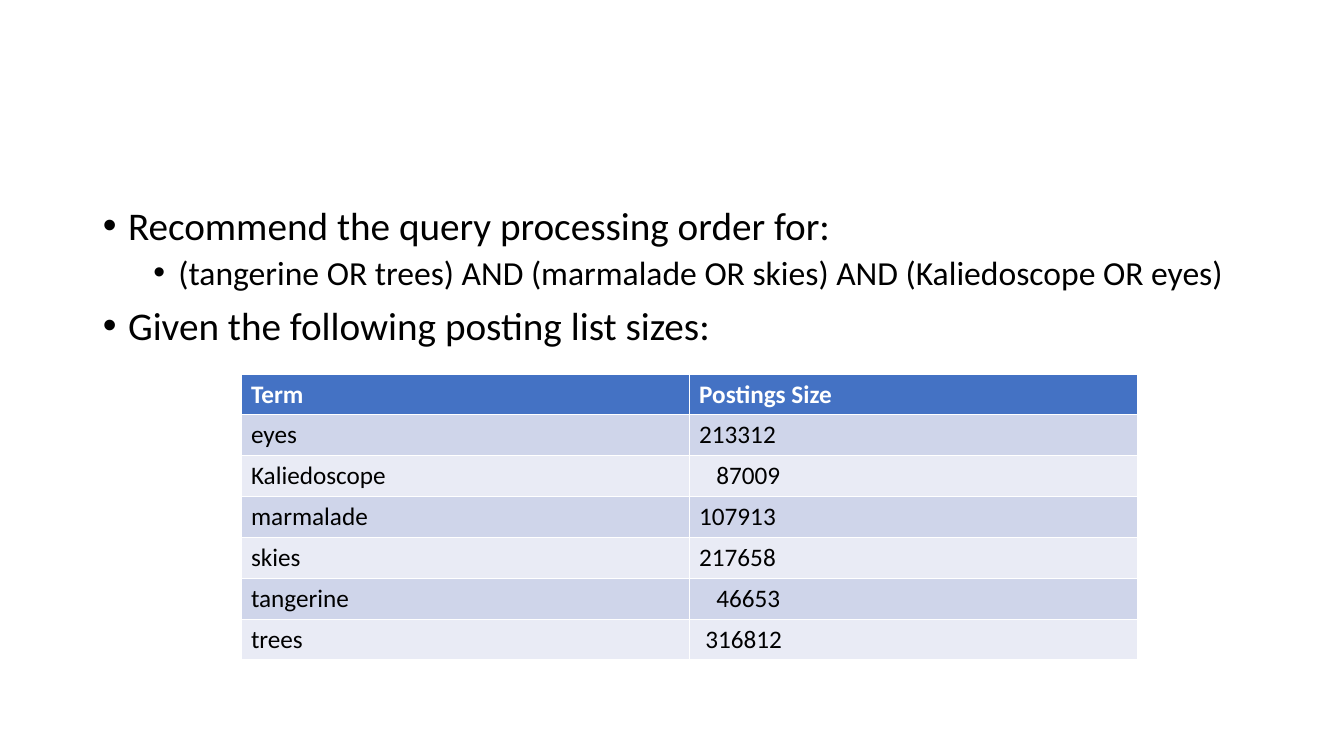
from lxml.etree import SubElement
from pptx import Presentation
from pptx.dml.color import RGBColor
from pptx.enum.text import MSO_ANCHOR
from pptx.oxml.ns import qn
from pptx.util import Inches, Pt

COLORS = {
    "text": "000000",
    "header": "4472C4",
    "header_text": "FFFFFF",
    "odd_row": "CFD5EA",
    "even_row": "E9EBF5",
}
FONT = "Calibri"

PROMPTS = [
    (0, "Recommend the query processing order for:"),
    (1, "(tangerine OR trees) AND (marmalade OR skies) AND (Kaliedoscope OR eyes)"),
    (0, "Given the following posting list sizes:"),
]
LEVELS = [
    {"size": 28, "margin": 0.25, "before": 10},
    {"size": 24, "margin": 0.75, "before": 5},
]

POSTINGS = [
    ("Term", "Postings Size", 0),
    ("eyes", "213312", 0),
    ("Kaliedoscope", "87009", 0.17),
    ("marmalade", "107913", 0),
    ("skies", "217658", 0),
    ("tangerine", "46653", 0.17),
    ("trees", "316812", 0.06),
]


def rgb(name):
    """Return the named colour."""
    return RGBColor.from_string(COLORS[name])


def write(paragraph, text, size, color, bold=False):
    """Put one formatted run into a paragraph."""
    run = paragraph.add_run()
    run.text = text
    for attribute, value in {"name": FONT, "size": Pt(size), "bold": bold}.items():
        setattr(run.font, attribute, value)
    run.font.color.rgb = rgb(color)


def set_bullet(paragraph, margin):
    """Give a paragraph a round bullet and a hanging indent."""
    properties = paragraph._p.get_or_add_pPr()
    properties.set("marL", str(Inches(margin)))
    properties.set("indent", str(Inches(-0.25)))
    bullet_color = SubElement(properties, qn("a:buClr"))
    SubElement(bullet_color, qn("a:srgbClr"), val=COLORS["text"])
    SubElement(properties, qn("a:buFont"), typeface="Arial")
    SubElement(properties, qn("a:buChar"), char="•")


def fill_prompts(body):
    """Place the body placeholder and write the bulleted prompts."""
    place = {"left": 0.92, "top": 2, "width": 11.5, "height": 4.76}
    for attribute, value in place.items():
        setattr(body, attribute, Inches(value))
    frame = body.text_frame
    frame.vertical_anchor = MSO_ANCHOR.TOP
    for index, (level, text) in enumerate(PROMPTS):
        paragraph = frame.add_paragraph() if index else frame.paragraphs[0]
        style = LEVELS[level]
        spacing = {
            "level": level,
            "line_spacing": 0.9,
            "space_before": Pt(style["before"]),
            "space_after": Pt(0),
        }
        for attribute, value in spacing.items():
            setattr(paragraph, attribute, value)
        set_bullet(paragraph, style["margin"])
        write(paragraph, text, style["size"], "text")


def fill_cell(cell, text, fill, color, bold, indent=0):
    """Fill a table cell and write its text."""
    cell.fill.solid()
    cell.fill.fore_color.rgb = rgb(fill)
    cell.margin_left = Inches(0.1 + indent)
    write(cell.text_frame.paragraphs[0], text, 18, color, bold)


def add_postings(slide):
    """Add the table of posting list sizes."""
    postings = slide.shapes.add_table(
        len(POSTINGS), 2, Inches(2.39), Inches(3.71), Inches(8.89), Inches(2.84)
    ).table
    postings.horz_banding = False
    for row, (term, size, indent) in enumerate(POSTINGS):
        is_header = row == 0
        band = "odd_row" if row % 2 else "even_row"
        fill = "header" if is_header else band
        color = "header_text" if is_header else "text"
        fill_cell(postings.cell(row, 0), term, fill, color, is_header)
        fill_cell(postings.cell(row, 1), size, fill, color, is_header, indent)


def main():
    """Build the slide and save it."""
    deck = Presentation()
    deck.slide_width, deck.slide_height = Inches(13.33), Inches(7.5)
    slide = deck.slides.add_slide(deck.slide_layouts.get_by_name("Title and Content"))
    title = slide.shapes.title.element
    title.getparent().remove(title)
    fill_prompts(slide.placeholders[1])
    add_postings(slide)
    deck.save("out.pptx")


if __name__ == "__main__":
    main()
